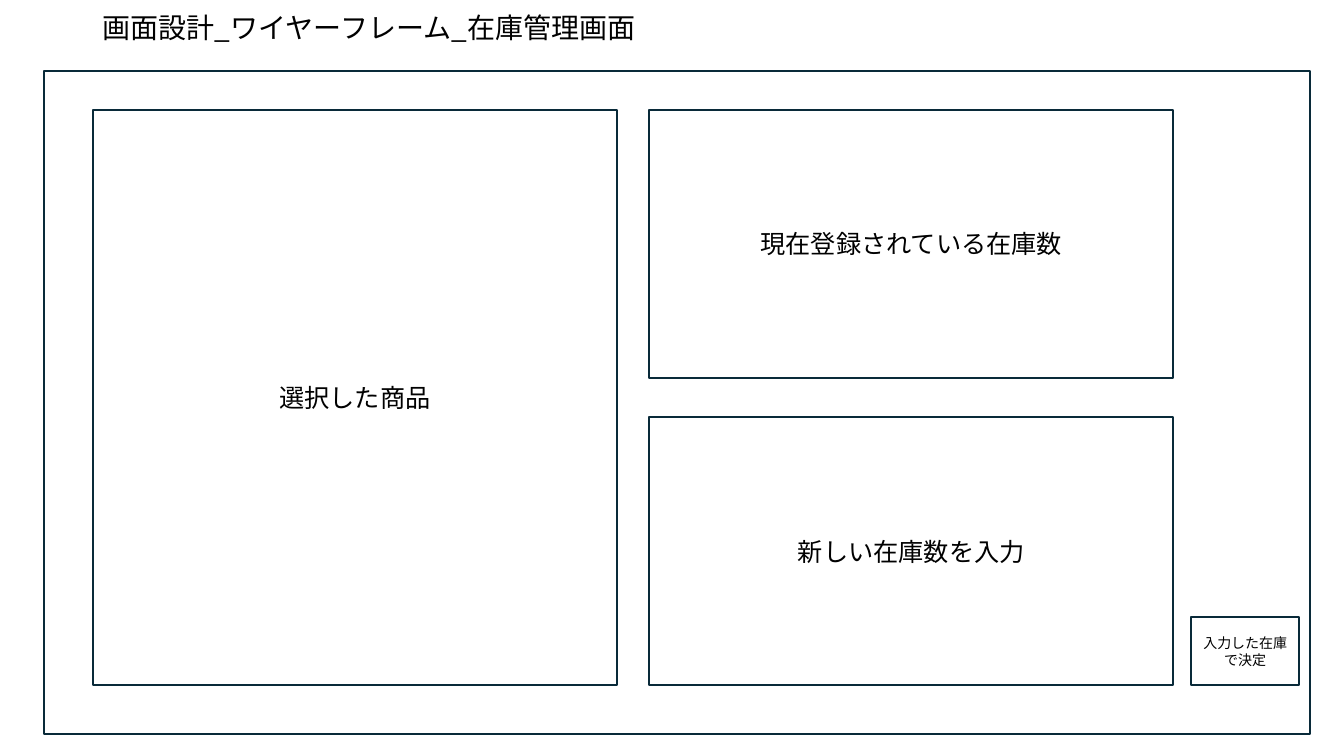
import pptx
import pptx.util
import pptx.dml.color
import pptx.enum.lang
import pptx.enum.shapes
import pptx.enum.text
import lxml.etree
from dataclasses import dataclass
from pptx.util import Cm

TITLE = "画面設計_ワイヤーフレーム_在庫管理画面"
PRODUCT = "選択した商品"
STOCK_PANELS = ["現在登録されている在庫数", "新しい在庫数を入力"]
CONFIRM = "入力した在庫で決定"


@dataclass(frozen=True)
class Theme:
    font: str = "Noto Sans CJK JP"
    ink: str = "000000"
    outline: str = "092A39"
    outline_width: float = 1.5
    title_size: int = 20
    panel_size: int = 18
    button_size: int = 10


THEME = Theme()
ALIGN = pptx.enum.text.PP_ALIGN
FRAME = (1.12, 1.78, 31.9, 16.71)
LEFT, TOP = 2.34, 2.77
PANEL_WIDTH, PANEL_HEIGHT = 13.21, 14.5
COLUMN_GAP, ROW_GAP = 0.81, 1
BUTTON_WIDTH, BUTTON_HEIGHT, BUTTON_GAP = 2.72, 1.73, 0.45


def write_text(shape, text, size, align=ALIGN.CENTER, line_spacing=1.0):
    frame = shape.text_frame
    frame.word_wrap = True
    frame.vertical_anchor = pptx.enum.text.MSO_ANCHOR.MIDDLE
    paragraph = frame.paragraphs[0]
    paragraph.alignment = align
    paragraph.line_spacing = line_spacing
    run = paragraph.add_run()
    run.text = text
    font = run.font
    font.size = pptx.util.Pt(size)
    font.name = THEME.font
    font.language_id = pptx.enum.lang.MSO_LANGUAGE_ID.JAPANESE
    font.color.rgb = pptx.dml.color.RGBColor.from_string(THEME.ink)
    properties = run._r.get_or_add_rPr()
    east_asian = lxml.etree.SubElement(properties, pptx.oxml.ns.qn("a:ea"))
    east_asian.set("typeface", THEME.font)


def add_box(slide, left, top, width, height):
    shape = slide.shapes.add_shape(
        pptx.enum.shapes.MSO_SHAPE.RECTANGLE, Cm(left), Cm(top), Cm(width), Cm(height)
    )
    shape.shadow.inherit = False
    shape.fill.background()
    shape.line.color.rgb = pptx.dml.color.RGBColor.from_string(THEME.outline)
    shape.line.width = pptx.util.Pt(THEME.outline_width)
    return shape


def main():
    presentation = pptx.Presentation()
    presentation.slide_width = Cm(33.87)
    presentation.slide_height = Cm(19.05)
    slide = presentation.slides.add_slide(presentation.slide_layouts[6])

    title = slide.shapes.add_textbox(Cm(LEFT), Cm(0.58), Cm(17.32), Cm(0.33))
    write_text(title, TITLE, THEME.title_size, align=ALIGN.LEFT, line_spacing=0.9)

    add_box(slide, *FRAME)
    product = add_box(slide, LEFT, TOP, PANEL_WIDTH, PANEL_HEIGHT)
    write_text(product, PRODUCT, THEME.panel_size)

    stock_left = LEFT + PANEL_WIDTH + COLUMN_GAP
    stock_height = (PANEL_HEIGHT - ROW_GAP) / 2
    for row, text in enumerate(STOCK_PANELS):
        stock_top = TOP + row * (stock_height + ROW_GAP)
        panel = add_box(slide, stock_left, stock_top, PANEL_WIDTH, stock_height)
        write_text(panel, text, THEME.panel_size)

    button_left = stock_left + PANEL_WIDTH + BUTTON_GAP
    button_top = TOP + PANEL_HEIGHT - BUTTON_HEIGHT
    button = add_box(slide, button_left, button_top, BUTTON_WIDTH, BUTTON_HEIGHT)
    write_text(button, CONFIRM, THEME.button_size)

    presentation.save("out.pptx")


if __name__ == "__main__":
    main()
